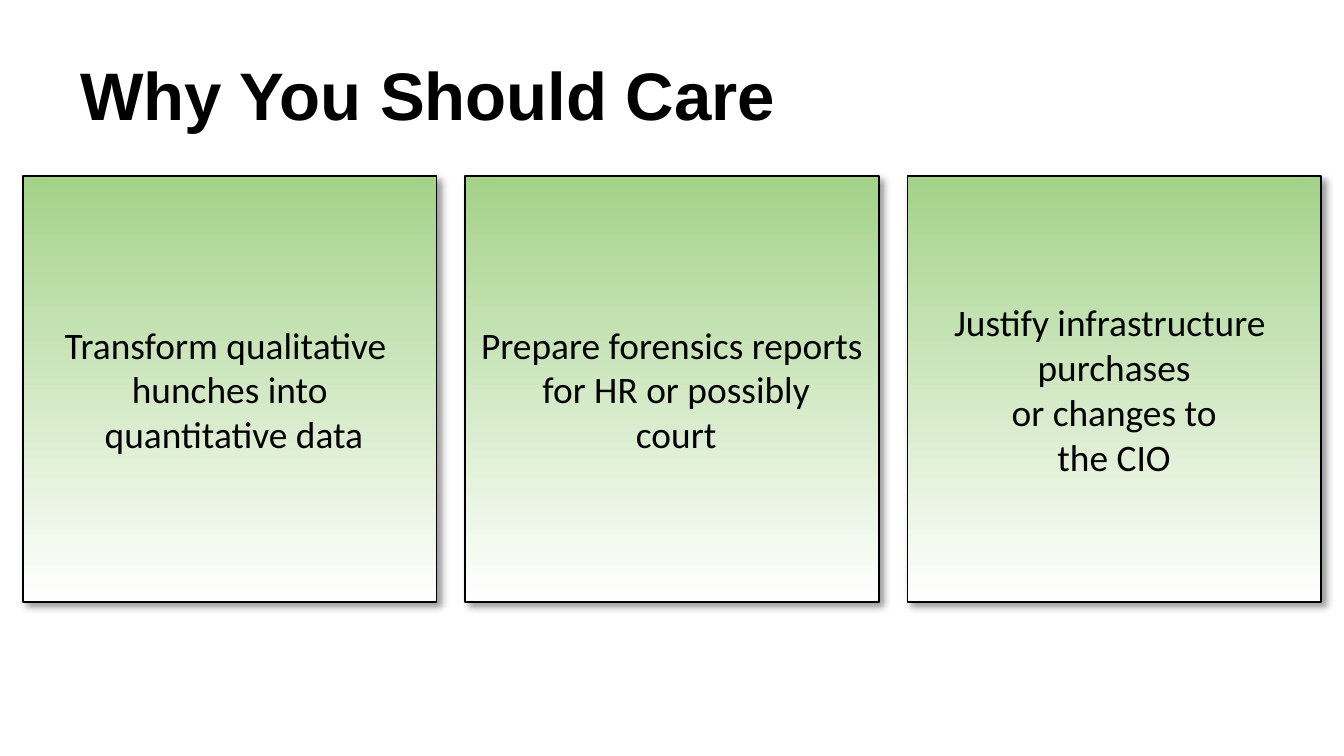
from lxml import etree
from pptx import Presentation
from pptx.dml.color import RGBColor
from pptx.enum import shapes, text
from pptx.oxml import ns
from pptx.util import Inches, Pt

TITLE = "Why You Should Care"
# \v marks a line break inside the paragraph
REASONS = [
    "Transform qualitative \vhunches into\v quantitative data",
    "Prepare forensics reports\v for HR or possibly\v court",
    "Justify infrastructure \vpurchases\vor changes to\vthe CIO",
]

BLACK = RGBColor(0x00, 0x00, 0x00)
WHITE = RGBColor(0xFF, 0xFF, 0xFF)
GREEN = RGBColor(0xA4, 0xD2, 0x89)

SLIDE_W = 10
SLIDE_H = SLIDE_W * 9 / 16
CARD_W, CARD_H, CARD_TOP, GAP = 3.08, 3.17, 1.31, 0.21
CARD_LEFT = (SLIDE_W - len(REASONS) * CARD_W - (len(REASONS) - 1) * GAP) / 2


def write(tf, content, font, size, bold=False, align=None):
    tf.text = content
    tf.vertical_anchor = text.MSO_ANCHOR.MIDDLE
    p = tf.paragraphs[0]
    p.alignment = align
    for r in p.runs:
        r.font.name, r.font.size, r.font.bold = font, Pt(size), bold
        r.font.color.rgb = BLACK


def add_shadow(sp):
    """Soft black shadow to the lower right, 40% opaque."""
    sp.shadow.inherit = False
    effects = sp._element.spPr.find(ns.qn("a:effectLst"))
    shadow = etree.SubElement(
        effects, ns.qn("a:outerShdw"), blurRad=str(Pt(4)), dist=str(Pt(3)),
        dir=str(45 * 60000), algn="tl", rotWithShape="0")
    color = etree.SubElement(shadow, ns.qn("a:srgbClr"), val=str(BLACK))
    etree.SubElement(color, ns.qn("a:alpha"), val="40000")


def add_card(s, left, reason):
    sp = s.shapes.add_shape(
        shapes.MSO_SHAPE.RECTANGLE, Inches(left), Inches(CARD_TOP),
        Inches(CARD_W), Inches(CARD_H))
    sp.fill.gradient()
    sp.fill.gradient_angle = 270  # counter-clockwise: top to bottom
    for stop, color in zip(sp.fill.gradient_stops, (GREEN, WHITE)):
        stop.color.rgb = color
    sp.line.color.rgb = BLACK
    sp.line.width = Pt(0.75)
    add_shadow(sp)
    sp.text_frame.word_wrap = False
    write(sp.text_frame, reason, "Calibri", 20, align=text.PP_ALIGN.CENTER)


prs = Presentation()
prs.slide_width, prs.slide_height = Inches(SLIDE_W), Inches(SLIDE_H)
s = prs.slides.add_slide(prs.slide_layouts[6])

title = s.shapes.add_textbox(Inches(0.5), Inches(0.23), Inches(9), Inches(0.94))
title.text_frame.word_wrap = True
write(title.text_frame, TITLE, "Arial", 36, bold=True)

for i, reason in enumerate(REASONS):
    add_card(s, CARD_LEFT + i * (CARD_W + GAP), reason)

prs.save("out.pptx")
